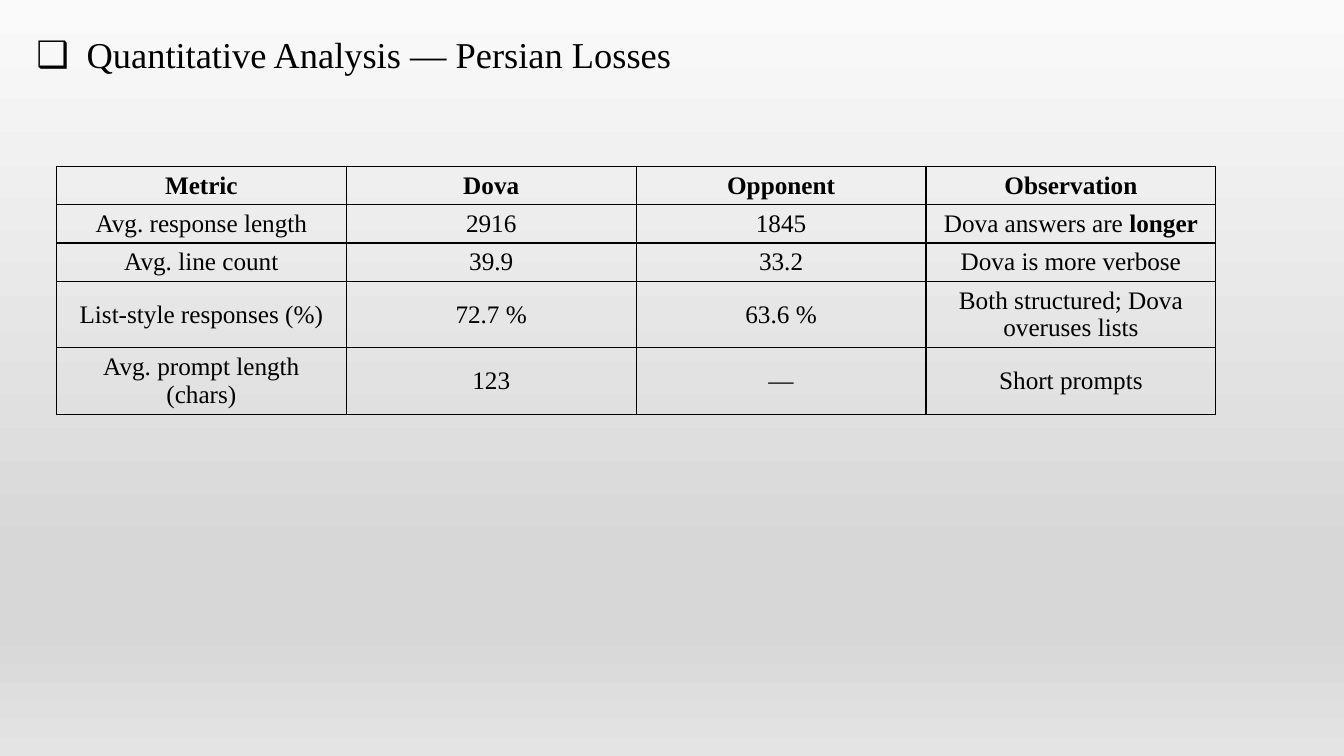
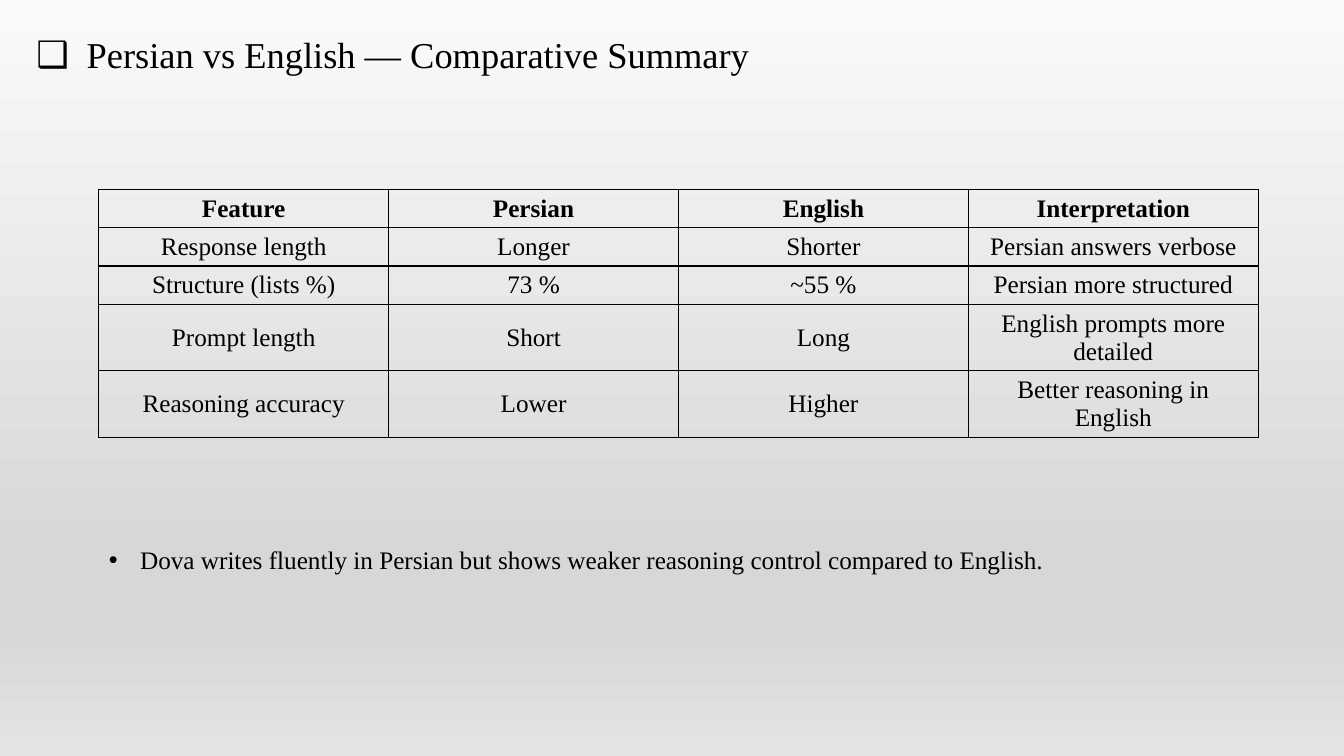
import dataclasses
from typing import Any, Optional

import pptx
import pptx.dml.color
import pptx.enum.text
import pptx.oxml
import pptx.oxml.ns
import pptx.util

Inches = pptx.util.Inches
Pt = pptx.util.Pt
qn = pptx.oxml.ns.qn
ALIGN = pptx.enum.text.PP_ALIGN
ANCHOR = pptx.enum.text.MSO_ANCHOR

BLACK = "000000"
BACKGROUND = [(0, "FAFAFA"), (74, "D7D7D7"), (83, "D7D7D7"), (100, "E4E4E4")]
TITLE_FONT = {"name": "Times New Roman", "size": Pt(26), "bold": False}
TEXT_FONT = {"name": "Times New Roman", "size": Pt(18), "bold": False}
TITLE_FRAME = {"word_wrap": True, "vertical_anchor": ANCHOR.MIDDLE,
               "auto_size": pptx.enum.text.MSO_AUTO_SIZE.NONE}
BODY_FRAME = {**TITLE_FRAME, "vertical_anchor": ANCHOR.TOP}
TITLE_PARAGRAPH = {"alignment": ALIGN.LEFT, "line_spacing": 0.9, "space_before": Pt(0)}
BODY_PARAGRAPH = {**TITLE_PARAGRAPH, "line_spacing": 1.0}

TABLE_WIDTH = 11.5
LINE_HEIGHT = 0.28
CELL_PADDING = 0.1
TITLE_ONLY, TITLE_AND_BODY = 5, 1


@dataclasses.dataclass(frozen=True)
class TableSlide:
    title: str
    left: float
    top: float
    rows: list[list[str]]
    row_lines: list[int]
    note: Optional[str] = None


SLIDES = [
    TableSlide(
        "Quantitative Analysis — Persian Losses", 0.56, 1.65,
        [
            ["Metric", "Dova", "Opponent", "Observation"],
            ["Avg. response length", "2916", "1845", "Dova answers are **longer**"],
            ["Avg. line count", "39.9", "33.2", "Dova is more verbose"],
            ["List-style responses (%)", "72.7 %", "63.6 %",
             "Both structured; Dova overuses lists"],
            ["Avg. prompt length (chars)", "123", "—", "Short prompts"],
        ],
        [1, 1, 1, 2, 2],
    ),
    TableSlide(
        "Persian vs English — Comparative Summary", 0.98, 1.88,
        [
            ["Feature", "Persian", "English", "Interpretation"],
            ["Response length", "Longer", "Shorter", "Persian answers verbose"],
            ["Structure (lists %)", "73 %", "~55 %", "Persian more structured"],
            ["Prompt length", "Short", "Long", "English prompts more detailed"],
            ["Reasoning accuracy", "Lower", "Higher", "Better reasoning in English"],
        ],
        [1, 1, 1, 2, 2],
        "Dova writes fluently in Persian but shows weaker reasoning control "
        "compared to English.",
    ),
]


def rgb(value: str) -> pptx.dml.color.RGBColor:
    return pptx.dml.color.RGBColor.from_string(value)


def apply(target: Any, values: dict[str, Any]) -> None:
    for name, value in values.items():
        setattr(target, name, value)


def xml(markup: str) -> Any:
    """Parse one element whose start tag ends with the marker {ns}."""
    return pptx.oxml.parse_xml(markup.replace("{ns}", pptx.oxml.ns.nsdecls("a")))


def add_run(p: Any, text: str, font: dict[str, Any]) -> None:
    r = p.add_run()
    r.text = text
    apply(r.font, font)
    r.font.color.rgb = rgb(BLACK)


def set_background(prs: Any) -> None:
    master = prs.slide_master
    fill = master.background.fill
    fill.gradient()
    fill.gradient_angle = 270
    stops = next(master.element.iter(qn("a:gsLst")))
    stops.clear()
    for percent, colour in BACKGROUND:
        stops.append(xml(f'<a:gs {{ns}} pos="{percent * 1000}">'
                         f'<a:srgbClr val="{colour}"/></a:gs>'))


def fill_placeholder(sp: Any, box: tuple[float, float, float, float], text: str,
                     bullet: str, indent: float, frame: dict[str, Any],
                     paragraph: dict[str, Any], font: dict[str, Any]) -> None:
    apply(sp, dict(zip(("left", "top", "width", "height"), map(Inches, box))))
    tf = sp.text_frame
    apply(tf, frame)
    p = tf.paragraphs[0]
    pPr = p._p.get_or_add_pPr()
    pPr.set("marL", str(Inches(indent)))
    pPr.set("indent", str(-Inches(indent)))
    pPr.append(xml('<a:buFont {ns} typeface="Arial"/>'))
    pPr.append(xml(f'<a:buChar {{ns}} char="{bullet}"/>'))
    apply(p, paragraph)
    add_run(p, text, font)


def format_cell(cell: Any, text: str, header: bool) -> None:
    """Write the text, with parts between ** in bold, and draw the borders."""
    tcPr = cell._tc.get_or_add_tcPr()
    for side in ("lnL", "lnR", "lnT", "lnB"):
        tcPr.append(xml(f'<a:{side} {{ns}} w="{Pt(1)}"><a:solidFill>'
                        f'<a:srgbClr val="{BLACK}"/></a:solidFill></a:{side}>'))
    cell.fill.background()
    cell.vertical_anchor = ANCHOR.MIDDLE
    p = cell.text_frame.paragraphs[0]
    p.alignment = ALIGN.CENTER
    for i, part in enumerate(text.split("**")):
        if part:
            add_run(p, part, {**TEXT_FONT, "bold": header or i % 2 == 1})


def add_table(s: Any, data: TableSlide) -> None:
    heights = [n * LINE_HEIGHT + CELL_PADDING for n in data.row_lines]
    columns = len(data.rows[0])
    table = s.shapes.add_table(
        len(data.rows), columns, Inches(data.left), Inches(data.top),
        Inches(TABLE_WIDTH), Inches(sum(heights))).table
    apply(table, {"first_row": False, "horz_banding": False})
    for column in table.columns:
        column.width = Inches(TABLE_WIDTH / columns)
    for i, (row, height, texts) in enumerate(zip(table.rows, heights, data.rows)):
        row.height = Inches(height)
        for cell, text in zip(row.cells, texts):
            format_cell(cell, text, header=i == 0)


def add_slide(prs: Any, data: TableSlide) -> None:
    layout = TITLE_AND_BODY if data.note else TITLE_ONLY
    s = prs.slides.add_slide(prs.slide_layouts[layout])
    fill_placeholder(s.shapes.title, (0.26, -0.16, 11.5, 1.45), data.title,
                     "❑", 0.5, TITLE_FRAME, TITLE_PARAGRAPH, TITLE_FONT)
    add_table(s, data)
    if data.note:
        fill_placeholder(s.placeholders[1], (0.98, 5.35, 9.77, 0.4), data.note,
                         "•", 0.31, BODY_FRAME, BODY_PARAGRAPH, TEXT_FONT)


def main() -> None:
    prs = pptx.Presentation()
    apply(prs, {"slide_width": Inches(13.33), "slide_height": Inches(7.5)})
    set_background(prs)
    for data in SLIDES:
        add_slide(prs, data)
    prs.save("out.pptx")


if __name__ == "__main__":
    main()
